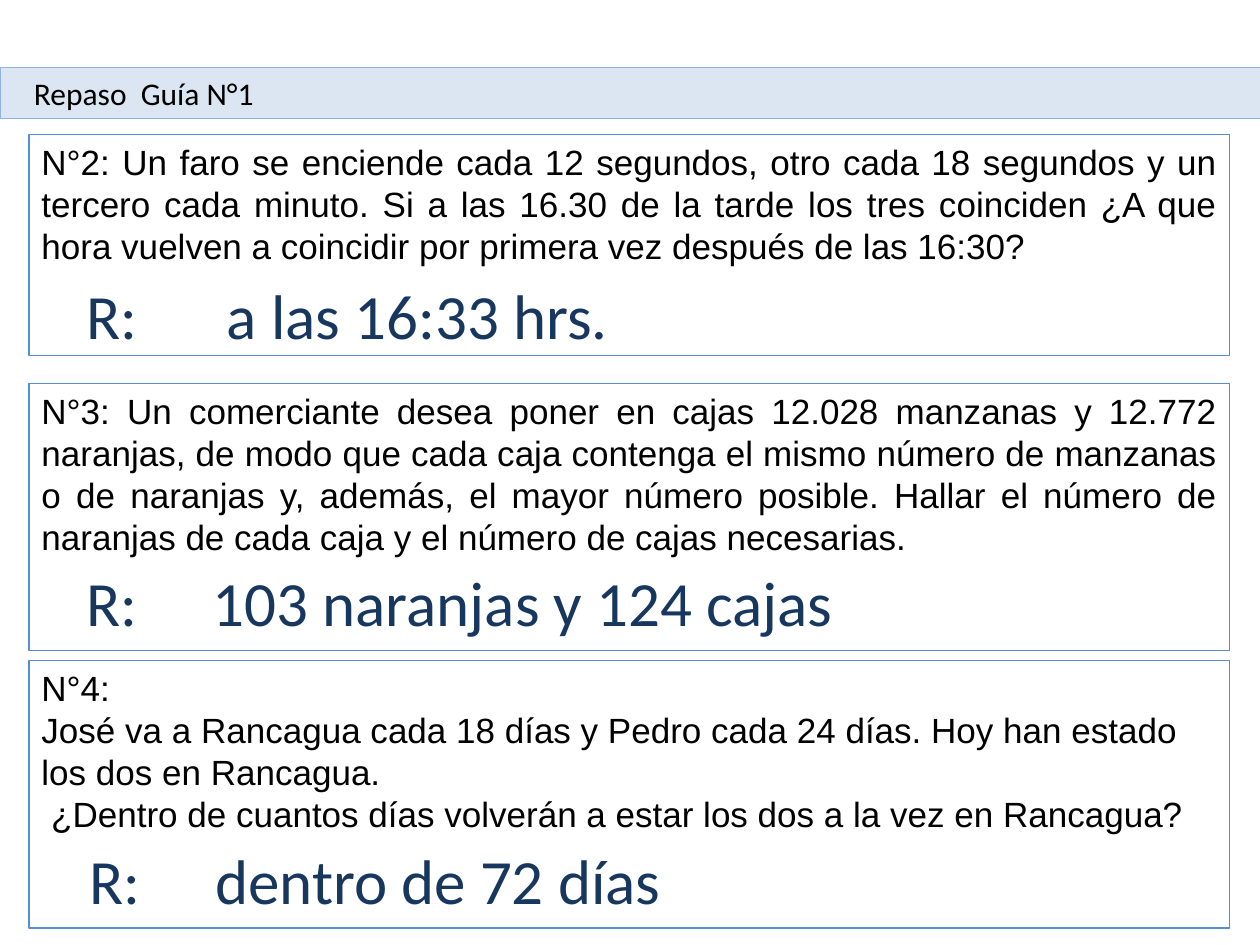
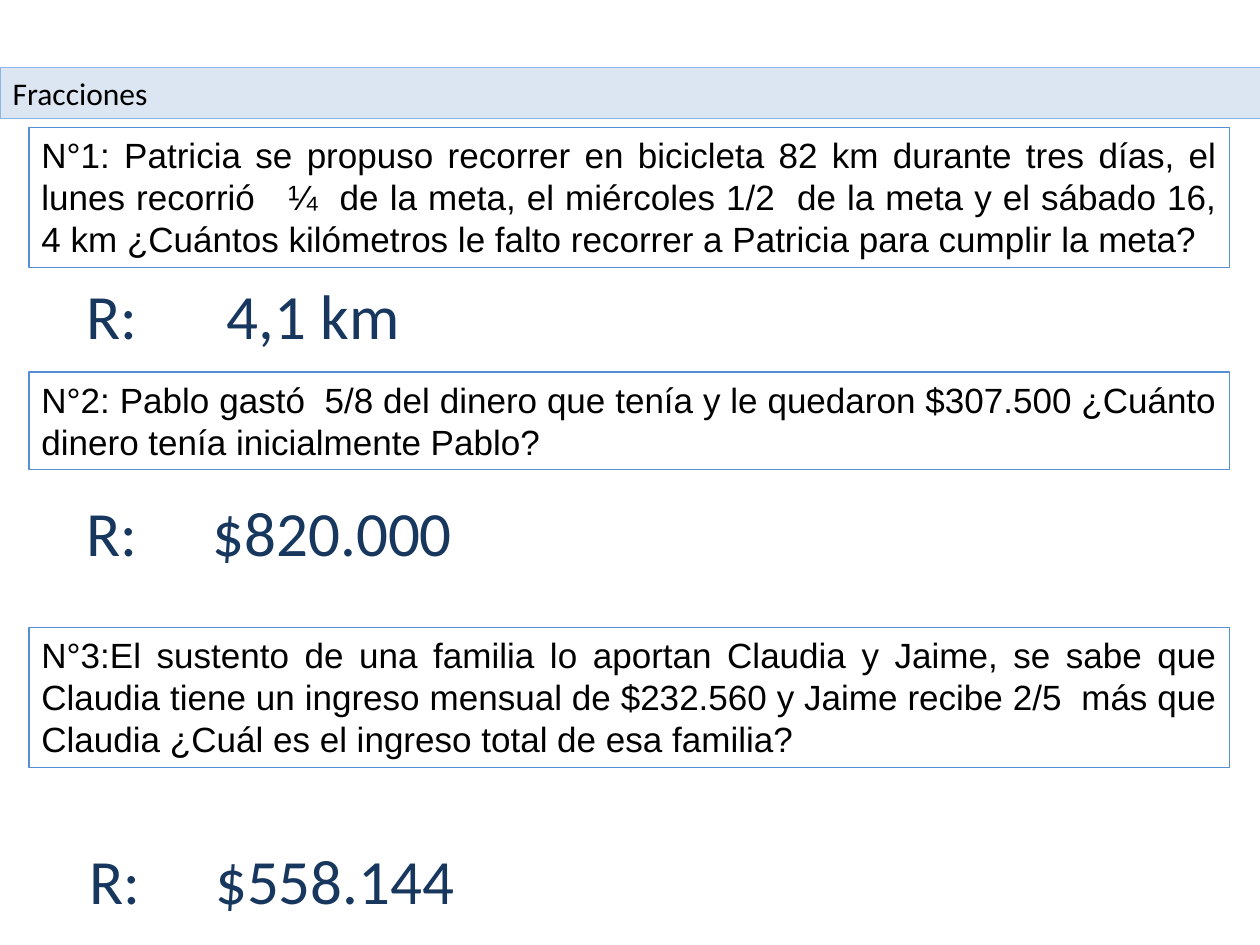
"""Build two review slides of word problems with their answers."""
import pptx
import pptx.dml.color
import pptx.enum.shapes
import pptx.enum.text
import pptx.oxml.ns
import pptx.util
from lxml import etree

Pt = pptx.util.Pt
ALIGN = pptx.enum.text.PP_ALIGN
ANCHOR = pptx.enum.text.MSO_ANCHOR

BLACK = "000000"
ANSWER_BLUE = "17375E"
BAND_FILL = "DCE6F2"
BAND_LINE = "8EB4E3"
FRAME_LINE = "558ED5"
INSET = 7.2
ANSWER_TAB = 72
FRAME_LEFT, FRAME_WIDTH = 16.6, 686.2

REVIEW = {
    "title": "Repaso  Guía N°1",
    "title_indent": 12.2,
    "problems": [
        (77, 126, ["N°2: Un faro se enciende cada 12 segundos, otro cada 18 segundos y un "
                   "tercero cada minuto. Si a las 16.30 de la tarde los tres coinciden ¿A que "
                   "hora vuelven a coincidir por primera vez después de las 16:30?"]),
        (219, 152.8, ["N°3: Un comerciante desea poner en cajas 12.028 manzanas y 12.772 "
                      "naranjas, de modo que cada caja contenga el mismo número de manzanas "
                      "o de naranjas y, además, el mayor número posible. Hallar el número de "
                      "naranjas de cada caja y el número de cajas necesarias."]),
        (377.5, 152.8, ["N°4:",
                        "José va a Rancagua cada 18 días y Pedro cada 24 días. Hoy han estado "
                        "los dos en Rancagua.",
                        "¿Dentro de cuantos días volverán a estar los dos a la vez en Rancagua?"]),
    ],
    "answers": [
        (42.5, 157, 385, 8.1, "a las 16:33 hrs."),
        (42.5, 321.1, 635, 0, "103 naranjas y 124 cajas"),
        (43.9, 480.2, 412.6, 0, "dentro de 72 días"),
    ],
}

FRACTIONS = {
    "title": "Fracciones",
    "title_indent": 0,
    "problems": [
        (73, 80, ["N°1: Patricia se propuso recorrer en bicicleta 82 km durante tres días, el "
                  "lunes recorrió   ¼  de la meta, el miércoles 1/2  de la meta y el sábado 16, "
                  "4 km ¿Cuántos kilómetros le falto recorrer a Patricia para cumplir la meta?"]),
        (212.6, 55.7, ["N°2: Pablo gastó  5/8 del dinero que tenía y le quedaron $307.500 ¿Cuánto "
                       "dinero tenía inicialmente Pablo?"]),
        (358.6, 80, ["N°3:El sustento de una familia lo aportan Claudia y Jaime, se sabe que "
                     "Claudia tiene un ingreso mensual de $232.560 y Jaime recibe 2/5  más que "
                     "Claudia ¿Cuál es el ingreso total de esa familia?"]),
    ],
    "answers": [
        (42.5, 157, 385, 8.1, "4,1 km"),
        (42.5, 281.5, 635, 0, "$820.000"),
        (43.9, 480.2, 412.6, 0, "$558.144"),
    ],
}


def color(value):
    """Turn a hex string into a colour."""
    return pptx.dml.color.RGBColor.from_string(value)


def set_line(box, value, width):
    """Outline a box."""
    box.line.color.rgb = color(value)
    box.line.width = Pt(width)


def set_frame(box, anchor, left_inset=INSET):
    """Set wrapping, anchor and left inset, and return the text frame."""
    frame = box.text_frame
    frame.word_wrap = True
    frame.auto_size = pptx.enum.text.MSO_AUTO_SIZE.NONE
    frame.vertical_anchor = anchor
    frame.margin_left = Pt(left_inset)
    return frame


def add_span(para, text, size, font, value, align=ALIGN.LEFT):
    """Add one formatted run to a paragraph."""
    para.alignment = align
    span = para.add_run()
    span.text = text
    span.font.size = Pt(size)
    span.font.name = font
    span.font.color.rgb = color(value)


def add_tab_stop(para, position):
    """Give a paragraph one left tab stop."""
    qn = pptx.oxml.ns.qn
    stops = etree.SubElement(para._p.get_or_add_pPr(), qn("a:tabLst"))
    etree.SubElement(stops, qn("a:tab"), pos=str(int(Pt(position))), algn="l")


def add_band(slide, title, indent):
    """Turn the title placeholder into the heading band."""
    box = slide.shapes.title
    box.left, box.top, box.width, box.height = Pt(0), Pt(38.4), Pt(720), Pt(29.1)
    box.fill.solid()
    box.fill.fore_color.rgb = color(BAND_FILL)
    set_line(box, BAND_LINE, 0.25)
    frame = set_frame(box, ANCHOR.TOP, INSET + indent)
    add_span(frame.paragraphs[0], title, 18, "Calibri", BLACK)


def add_problem(slide, top, height, lines):
    """Add a framed problem statement, its first paragraph justified."""
    box = slide.shapes.add_shape(
        pptx.enum.shapes.MSO_SHAPE.RECTANGLE,
        Pt(FRAME_LEFT), Pt(top), Pt(FRAME_WIDTH), Pt(height))
    box.shadow.inherit = False
    box.fill.background()
    set_line(box, FRAME_LINE, 0.75)
    frame = set_frame(box, ANCHOR.TOP)
    for index, text in enumerate(lines):
        para = frame.add_paragraph() if index else frame.paragraphs[0]
        add_span(para, text, 20, "Arial", BLACK, ALIGN.LEFT if index else ALIGN.JUSTIFY)
        if index and text.startswith("¿"):
            para._p.get_or_add_pPr().set("indent", str(int(Pt(5.56))))


def add_answer(slide, left, top, width, shift, text):
    """Add an answer line with its value at a tab stop."""
    box = slide.shapes.add_textbox(Pt(left), Pt(top), Pt(width), Pt(44.6))
    para = set_frame(box, ANCHOR.MIDDLE).paragraphs[0]
    add_span(para, "R:\t" + text, 36, "Calibri", ANSWER_BLUE)
    add_tab_stop(para, ANSWER_TAB + shift)


def add_exercise_slide(deck, content):
    """Add one slide with band, problems and answers."""
    slide = deck.slides.add_slide(deck.slide_layouts.get_by_name("Title Only"))
    add_band(slide, content["title"], content["title_indent"])
    for problem in content["problems"]:
        add_problem(slide, *problem)
    for answer in content["answers"]:
        add_answer(slide, *answer)


def main():
    """Build and save the deck."""
    deck = pptx.Presentation()
    deck.slide_width, deck.slide_height = Pt(720), Pt(540)
    for content in (REVIEW, FRACTIONS):
        add_exercise_slide(deck, content)
    deck.save("out.pptx")


if __name__ == "__main__":
    main()
